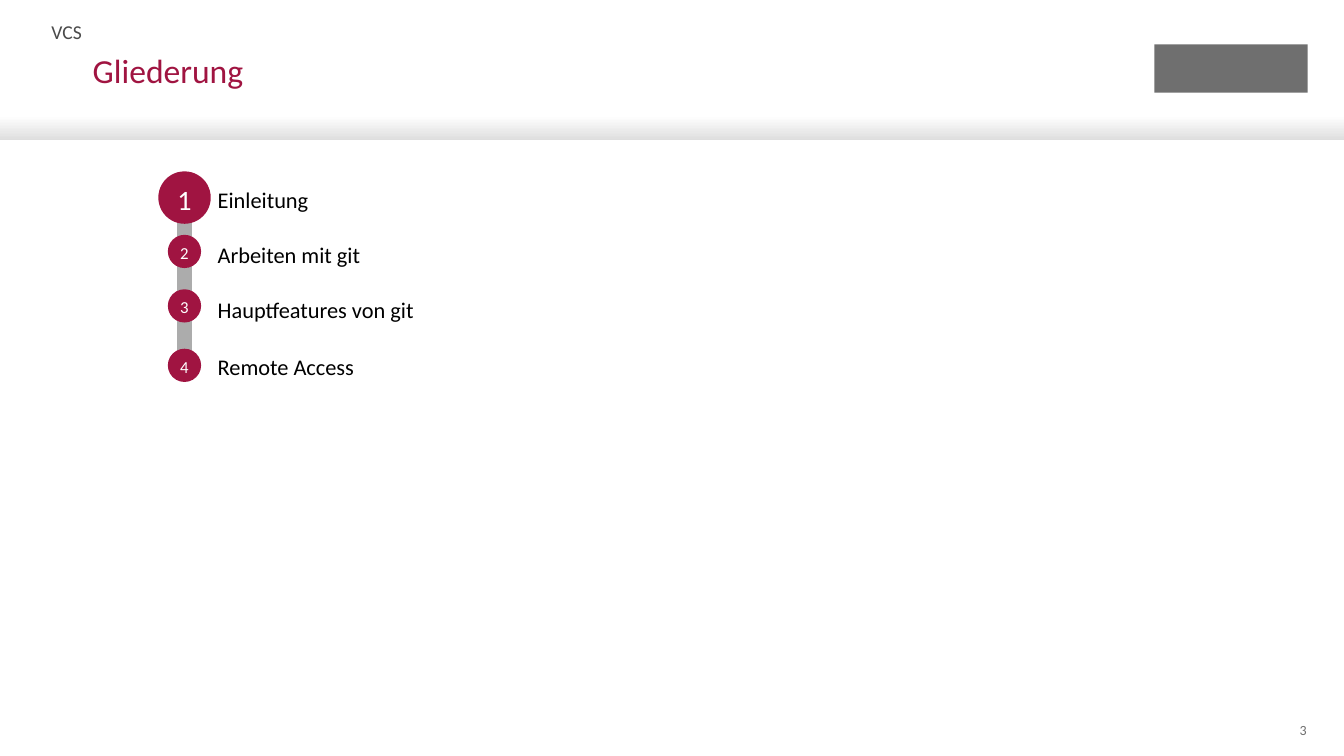
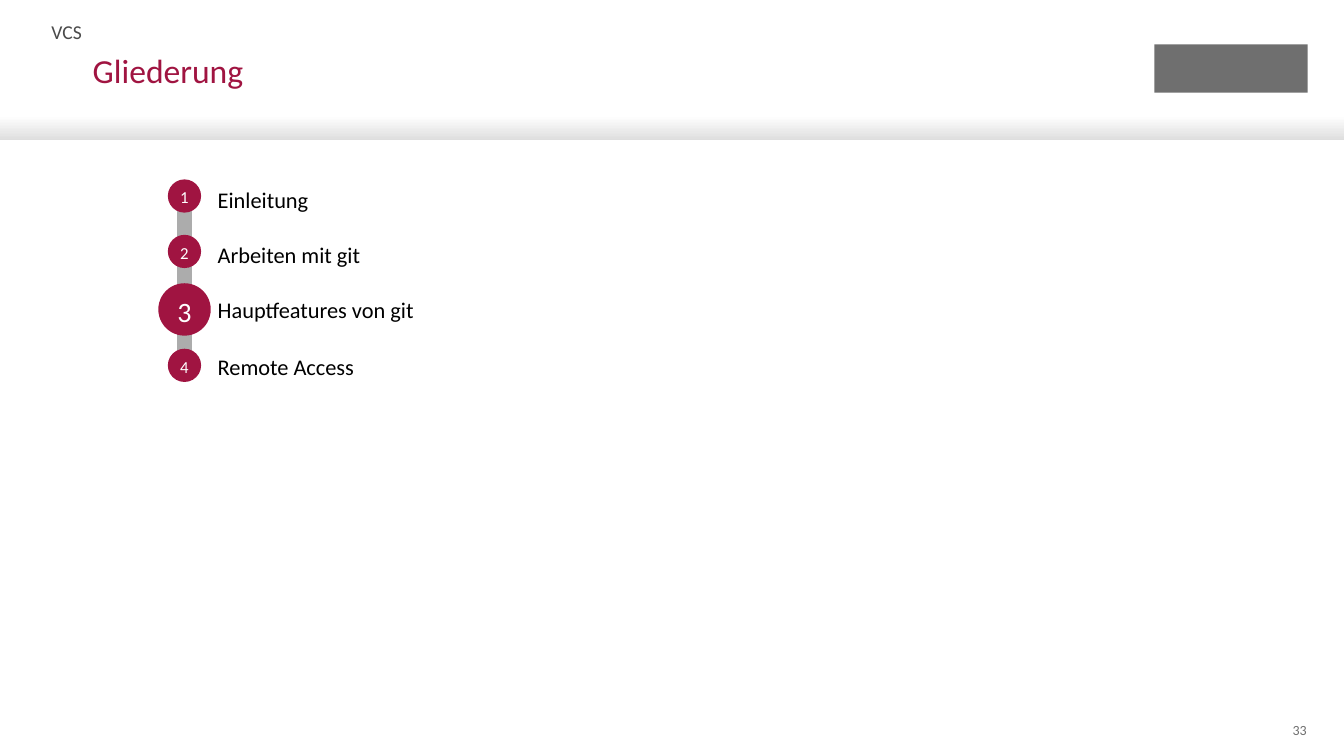
from pptx import Presentation
from pptx.dml.color import RGBColor
from pptx.enum.shapes import MSO_CONNECTOR, MSO_SHAPE
from pptx.enum.text import MSO_ANCHOR, MSO_AUTO_SIZE, PP_ALIGN
from pptx.oxml.ns import qn
from pptx.util import Inches, Pt
from lxml import etree

RECT, OVAL = MSO_SHAPE.RECTANGLE, MSO_SHAPE.OVAL
LINE = MSO_CONNECTOR.STRAIGHT
TOP, MID = MSO_ANCHOR.TOP, MSO_ANCHOR.MIDDLE
LEFT, MIDDLE, RIGHT = PP_ALIGN.LEFT, PP_ALIGN.CENTER, PP_ALIGN.RIGHT
GROW = MSO_AUTO_SIZE.SHAPE_TO_FIT_TEXT

FONT = "Calibri"
RED, GREY, DARK, RAIL = "A01441", "6F6F6F", "4A4A4A", "ACACAC"
WHITE, SHADE, BLACK = "FFFFFF", "DEDEDE", "000000"

AXIS, SMALL, LARGE = 1.83, 0.33, 0.52
ITEMS = [
    ("Einleitung", 1.78, 1.78),
    ("Arbeiten mit git", 2.33, 2.33),
    ("Hauptfeatures von git", 2.87, 2.87),
    ("Remote Access", 3.44, 3.46),
]
PAGES = [("3", 1, 1.7), ("33", 3, 2.81)]


def color(code):
    return RGBColor.from_string(code)


def write(shape, text, size, code, align=LEFT, anchor=TOP, space=1.0,
          pads=(0, 0, 0, 0), wrap=True):
    frame = shape.text_frame
    frame.text = text
    frame.word_wrap = wrap
    frame.vertical_anchor = anchor
    (frame.margin_left, frame.margin_top,
     frame.margin_right, frame.margin_bottom) = [Inches(pad) for pad in pads]
    para = frame.paragraphs[0]
    para.alignment = align
    para.line_spacing = space
    font = para.runs[0].font
    font.name, font.size = FONT, Pt(size)
    font.color.rgb = color(code)


deck = Presentation()
deck.slide_width, deck.slide_height = Inches(13.33), Inches(7.5)

for page, active, high in PAGES:
    shapes = deck.slides.add_slide(deck.slide_layouts[6]).shapes

    band = shapes.add_shape(RECT, 0, Inches(1.15), deck.slide_width, Inches(0.24))
    band.shadow.inherit = False
    band.line.fill.background()
    band.fill.gradient()
    band.fill.gradient_angle = 270
    for stop, code in zip(band.fill.gradient_stops, (WHITE, SHADE)):
        stop.color.rgb = color(code)

    mark = shapes.add_shape(RECT, Inches(11.45), Inches(0.44), Inches(1.52), Inches(0.48))
    mark.shadow.inherit = False
    mark.line.fill.background()
    mark.fill.solid()
    mark.fill.fore_color.rgb = color(GREY)

    rail = shapes.add_connector(LINE, Inches(AXIS), Inches(3.68), Inches(AXIS), Inches(1.95))
    rail.line.color.rgb = color(RAIL)
    rail.line.width = Pt(10)
    etree.SubElement(rail.element.spPr, qn("a:effectLst"))

    number = shapes.add_textbox(Inches(12.41), Inches(7.14), Inches(0.55), Inches(0.21))
    write(number, page, 10, GREY, align=RIGHT, anchor=MID)
    topic = shapes.add_textbox(Inches(0.51), Inches(0.15), Inches(10.03), Inches(0.3))
    write(topic, "VCS", 14, DARK, anchor=MID, space=1.1)
    title = shapes.add_textbox(Inches(0.92), Inches(0.54), Inches(10.24), Inches(0.85))
    write(title, "Gliederung", 24, RED, space=0.9)

    for index, (text, top, low) in enumerate(ITEMS, 1):
        label = shapes.add_textbox(Inches(2), Inches(top), Inches(7.97), Inches(0.36))
        write(label, text, 16, BLACK, space=1.1, pads=(0.16, 0.04, 0, 0.04))
        label.text_frame.auto_size = GROW

        side, y, size = (LARGE, high, 20) if index == active else (SMALL, low, 12)
        dot = shapes.add_shape(OVAL, Inches(AXIS - side / 2), Inches(y), Inches(side), Inches(side))
        dot.shadow.inherit = False
        dot.line.fill.background()
        dot.fill.solid()
        dot.fill.fore_color.rgb = color(RED)
        write(dot, str(index), size, WHITE, align=MIDDLE, anchor=MID, space=1.1, wrap=False)

deck.save("out.pptx")
